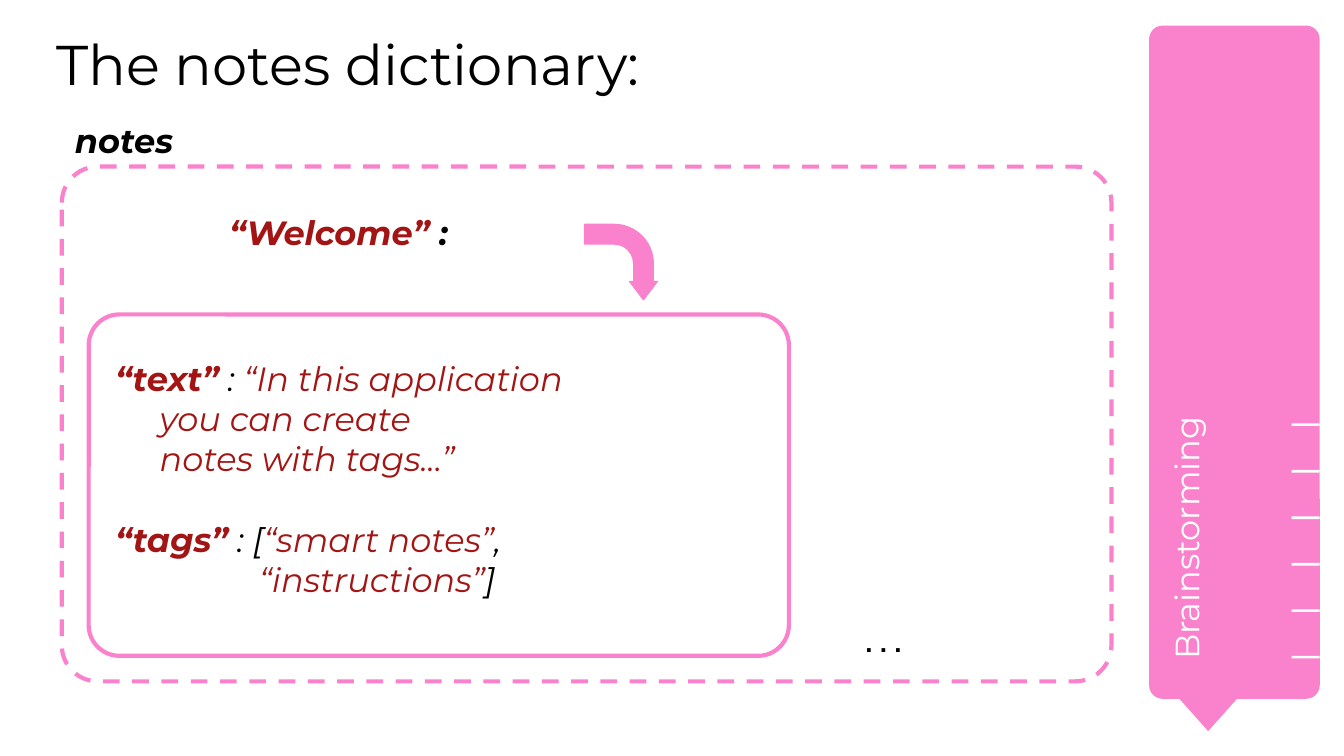
from pptx import Presentation
from pptx.dml.color import RGBColor
from pptx.enum.dml import MSO_LINE
from pptx.enum.shapes import MSO_SHAPE
from pptx.enum.text import PP_ALIGN
from pptx.util import Inches, Pt

PINK = RGBColor(0xFA, 0x82, 0xCC)
RED = RGBColor(0xA3, 0x15, 0x15)
BLACK = RGBColor(0, 0, 0)
WHITE = RGBColor(0xFF, 0xFF, 0xFF)


def add_shape(slide, kind, box, fill, line=None, width=2.25, dash=None, adjust=(), turn=0):
    shape = slide.shapes.add_shape(kind, *map(Inches, box))
    shape.shadow.inherit = False
    shape.rotation = turn
    shape.fill.solid()
    shape.fill.fore_color.rgb = fill
    for index, value in enumerate(adjust):
        shape.adjustments[index] = value
    if line is None:
        shape.line.fill.background()
    else:
        shape.line.color.rgb = line
        shape.line.width = Pt(width)
        shape.line.dash_style = dash


def add_text(slide, box, rows, size=18, font="Montserrat", color=BLACK, bold=False,
             slant=False, align=PP_ALIGN.LEFT, inset=0.1, turn=0, indents=()):
    label = slide.shapes.add_textbox(*map(Inches, box))
    label.rotation = turn
    frame = label.text_frame
    frame.word_wrap = True
    frame.margin_left = frame.margin_right = Inches(inset)
    frame.margin_top = frame.margin_bottom = Inches(inset)
    if isinstance(rows, str):
        rows = [[(rows, color, bold)]]
    for index, row in enumerate(rows):
        para = frame.paragraphs[0] if index == 0 else frame.add_paragraph()
        para.alignment = align
        if index < len(indents):
            para._p.get_or_add_pPr().set("marL", str(Inches(indents[index])))
        for words, tint, heavy in row:
            run = para.add_run()
            run.text = words
            run.font.name = font
            run.font.size = Pt(size)
            run.font.bold = heavy
            run.font.italic = slant
            run.font.color.rgb = tint


def add_notes(slide):
    add_shape(slide, MSO_SHAPE.ROUNDED_RECTANGLE, (0.46, 1.24, 7.81, 3.83), WHITE,
              line=PINK, dash=MSO_LINE.DASH, adjust=[0.07])
    add_text(slide, (0.42, 0.22, 7.84, 0.71), "The notes dictionary:", size=30, inset=0)
    add_text(slide, (0.46, 0.79, 2.77, 0.36), "notes", bold=True, slant=True)
    add_shape(slide, MSO_SHAPE.ROUNDED_RECTANGLE, (0.66, 2.34, 5.21, 2.54), WHITE,
              line=PINK, adjust=[0.09])
    add_text(slide, (0.61, 1.48, 3.82, 0.53),
             [[("“Welcome”", RED, True), (" :", BLACK, True)]],
             slant=True, align=PP_ALIGN.CENTER)
    add_text(slide, (0.76, 2.56, 4.9, 0.36), [
        [("“text”", RED, True), (" : ", BLACK, False), ("“In this application", RED, False)],
        [("you can create", RED, False)],
        [("notes with tags...”", RED, False)],
    ], slant=True, indents=[0, 0.33, 0.33])
    add_text(slide, (0.76, 3.76, 5.01, 0.36), [
        [("“tags”", RED, True), (" : [", BLACK, False),
         ("“smart notes”", RED, False), (",", BLACK, False)],
        [("“instructions”", RED, False), ("]", BLACK, False)],
    ], slant=True, indents=[0, 1.07])
    add_shape(slide, MSO_SHAPE.BENT_ARROW, (4.34, 1.68, 0.56, 0.54), PINK, line=PINK,
              width=0.75, adjust=[0.27, 0.19, 0.25, 0.54], turn=90)
    add_text(slide, (6.34, 4.56, 0.54, 0.36), ". . .", size=14, font="Arial", bold=True)


def add_marker(slide):
    add_shape(slide, MSO_SHAPE.ROUNDED_RECTANGLE, (8.55, 0.19, 1.27, 5.01), PINK,
              adjust=[0.08])
    add_shape(slide, MSO_SHAPE.FLOWCHART_MERGE, (8.66, 5.07, 0.66, 0.37), PINK)
    add_text(slide, (7.14, 2.9, 3.54, 0.67), "Brainstorming", color=WHITE, turn=270)
    for step in range(6):
        add_shape(slide, MSO_SHAPE.RECTANGLE, (9.61, 3.15 + step * 1.73 / 5, 0.21, 0.02), WHITE)


def main():
    deck = Presentation()
    deck.slide_width = Inches(10)
    deck.slide_height = Inches(10) * 9 // 16
    slide = deck.slides.add_slide(deck.slide_layouts[6])
    add_notes(slide)
    add_marker(slide)
    deck.save("out.pptx")


if __name__ == "__main__":
    main()
